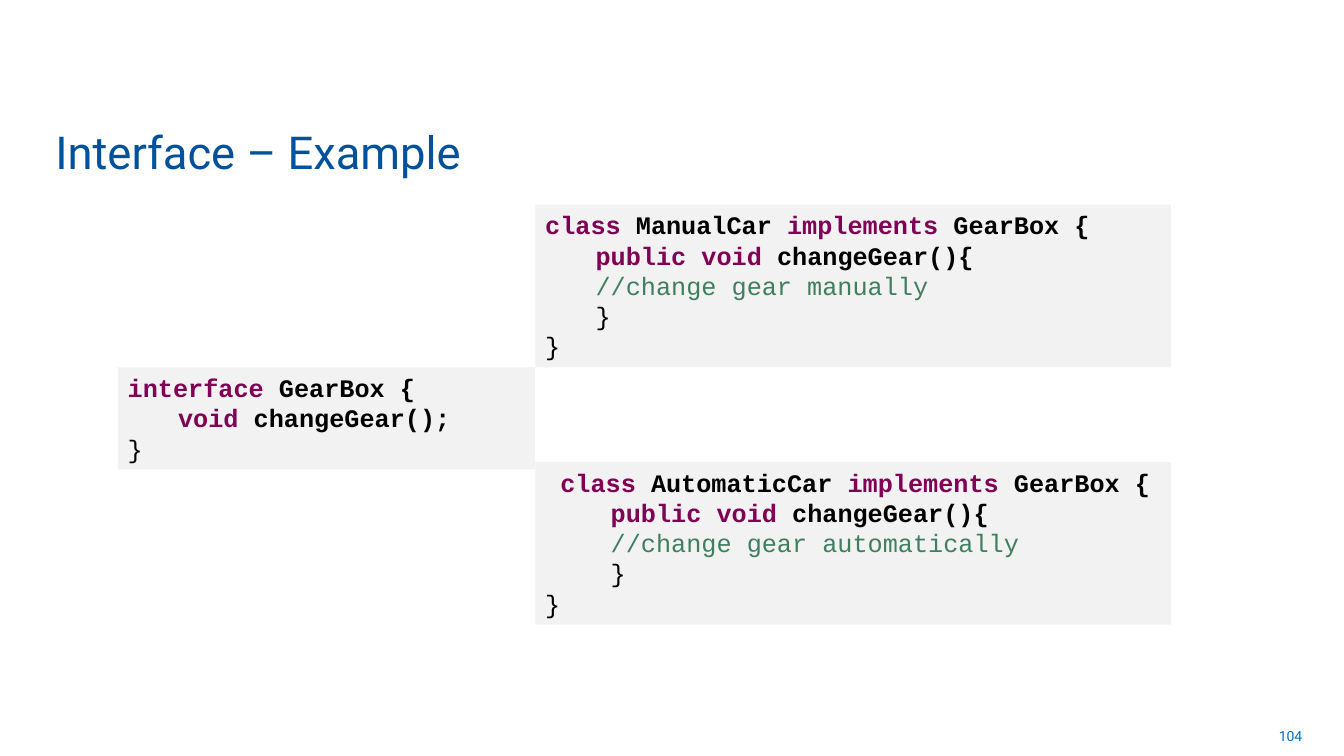
from pptx import Presentation
from pptx.dml.color import RGBColor
from pptx.enum.shapes import MSO_SHAPE as Shape
from pptx.enum.text import MSO_ANCHOR as Anchor, MSO_AUTO_SIZE as AutoSize, PP_ALIGN as Align
from pptx.util import Cm, Pt

TITLE = "Interface – Example"
PAGE_NUMBER = "104"
COLORS = {"title": "00519C", "page": "0070C0", "panel": "F2F2F2",
          "keyword": "7F0055", "name": "000000", "comment": "3F7F5F", "plain": "000000"}
BOLD_ROLES = ("keyword", "name")

# Code: each line is (indent level, [(text, role), ...])
CLOSE = (0, [("}", "plain")])
INTERFACE = [
    (0, [("interface ", "keyword"), ("GearBox {", "name")]),
    (0, [("\tvoid ", "keyword"), ("changeGear();", "name")]),
    CLOSE,
]


def class_code(class_name, comment, lead):
    """Lines of a class that implements GearBox, each inner line led by lead."""
    return [
        (0, [(lead + "class ", "keyword"), (class_name + " ", "name"),
             ("implements ", "keyword"), ("GearBox {", "name")]),
        (1, [(lead + "public void ", "keyword"), ("changeGear(){", "name")]),
        (1, [(lead + comment, "comment")]),
        (1, [(lead + "}", "plain")]),
        CLOSE,
    ]


# Panels: left, top, width, height in cm, then code
SPLIT = 13.49
CLASS_SIZE = (16.02, 4.1)
PANELS = [
    (2.97, 9.26, SPLIT - 2.97, 2.57, INTERFACE),
    (SPLIT, 5.16, *CLASS_SIZE, class_code("ManualCar", "//change gear manually", "")),
    (SPLIT, 11.64, *CLASS_SIZE, class_code("AutomaticCar", "//change gear automatically", " ")),
]
INDENT = Cm(1.27)


def add_run(paragraph, text, font, size, color, bold=False):
    run = paragraph.add_run()
    run.text = text
    run.font.name, run.font.size, run.font.bold = font, Pt(size), bold
    run.font.color.rgb = RGBColor.from_string(COLORS[color])


def add_panel(slide, left, top, width, height, code):
    panel = slide.shapes.add_shape(Shape.RECTANGLE, Cm(left), Cm(top), Cm(width), Cm(height))
    panel.shadow.inherit = False
    panel.fill.solid()
    panel.fill.fore_color.rgb = RGBColor.from_string(COLORS["panel"])
    panel.line.fill.background()
    frame = panel.text_frame
    frame.word_wrap = True
    frame.vertical_anchor = Anchor.TOP
    for number, (level, parts) in enumerate(code):
        line = frame.add_paragraph() if number else frame.paragraphs[0]
        line.alignment = Align.LEFT
        line.level = level
        properties = line._p.get_or_add_pPr()
        properties.set("marL", str(level * INDENT))
        properties.set("indent", "0")
        for text, role in parts:
            add_run(line, text, "Courier New", 18, role, role in BOLD_ROLES)


def main():
    deck = Presentation()
    deck.slide_width, deck.slide_height = Cm(33.87), Cm(19.05)
    slide = deck.slides.add_slide(deck.slide_layouts[5])

    # Title
    title = slide.shapes.title
    title.left, title.top, title.width, title.height = Cm(1.14), Cm(2.87), Cm(25.35), Cm(1.75)
    title.text_frame.auto_size = AutoSize.NONE
    title.text_frame.vertical_anchor = Anchor.BOTTOM
    heading = title.text_frame.paragraphs[0]
    heading.alignment = Align.LEFT
    add_run(heading, TITLE, "Roboto", 32.4, "title")

    # Code panels
    for panel in PANELS:
        add_panel(slide, *panel)

    # Page number
    page = slide.shapes.add_textbox(Cm(25.17), Cm(18.03), Cm(7.9), Cm(1.02)).text_frame
    page.word_wrap = True
    page.vertical_anchor = Anchor.MIDDLE
    page.paragraphs[0].alignment = Align.RIGHT
    add_run(page.paragraphs[0], PAGE_NUMBER, "Roboto", 10, "page")

    deck.save("out.pptx")


if __name__ == "__main__":
    main()
